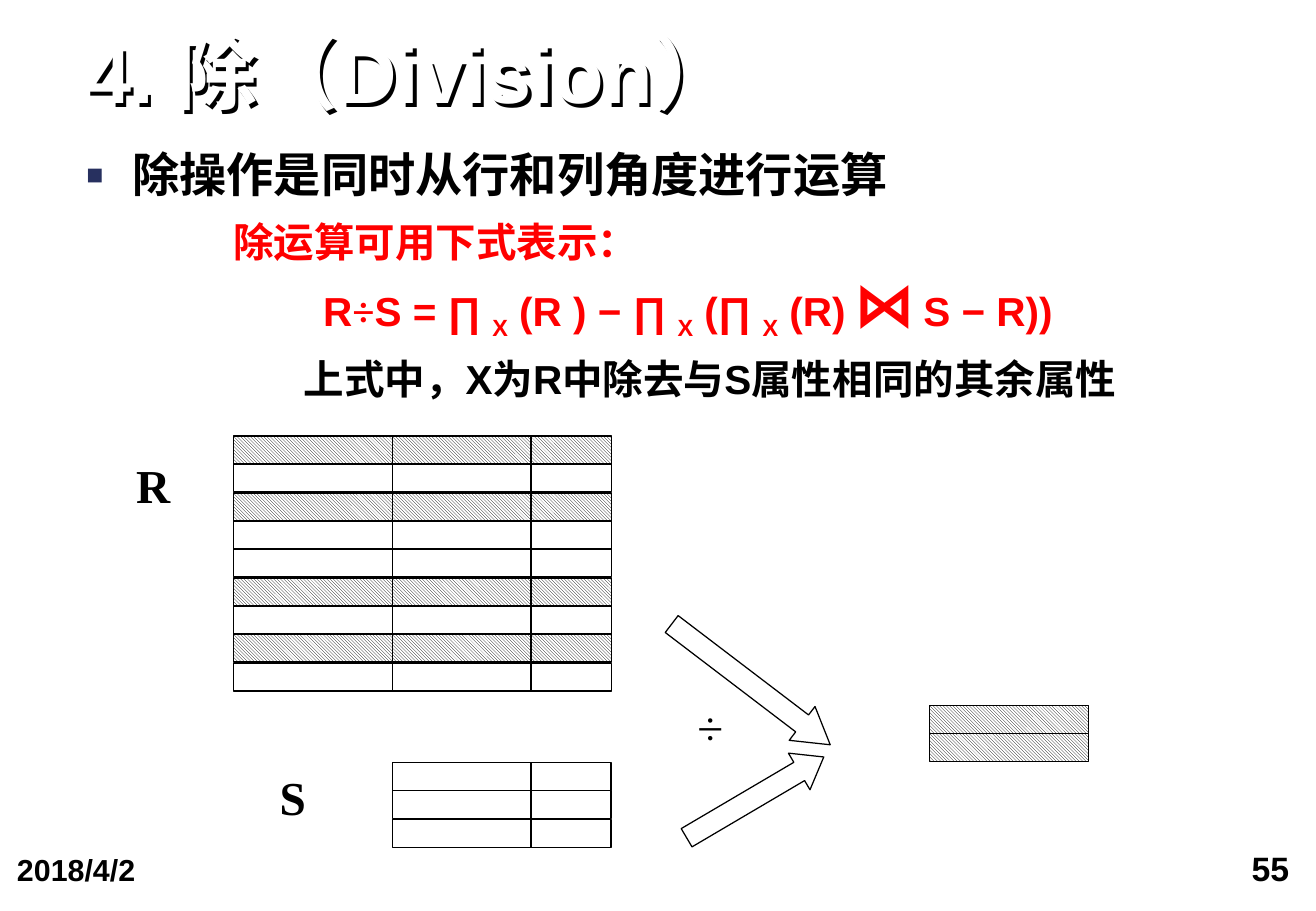
import pptx
import pptx.dml.color
import pptx.enum.dml
import pptx.enum.shapes
import pptx.enum.text
import pptx.oxml
import pptx.oxml.ns
import pptx.util

PX = 9144
COLORS = {"ink": "000000", "paper": "FFFFFF", "red": "FF0000", "navy": "27305F"}
TONE = {k: pptx.dml.color.RGBColor.from_string(v) for k, v in COLORS.items()}
NS = pptx.oxml.ns.nsdecls("a")
KIND = pptx.enum.shapes.MSO_SHAPE
ALIGN = pptx.enum.text.PP_ALIGN
ANCHOR = pptx.enum.text.MSO_ANCHOR
HATCH = pptx.enum.dml.MSO_PATTERN.LIGHT_DOWNWARD_DIAGONAL

deck = pptx.Presentation()
deck.slide_width, deck.slide_height = 1083 * PX, 750 * PX
slide = deck.slides.add_slide(deck.slide_layouts[1])
shapes = slide.shapes


def style(para, size, face="Arial", tone="ink", bold=True):
    for run in para.runs:
        run.font.size = pptx.util.Pt(size)
        run.font.name = face
        run.font.bold = bold
        run.font.color.rgb = TONE[tone]


def draw(kind, spot, hatch=False):
    shape = shapes.add_shape(kind, *[n * PX for n in spot])
    shape.shadow.inherit = False
    if hatch:
        shape.fill.patterned()
        shape.fill.pattern = HATCH
        shape.fill.fore_color.rgb = TONE["ink"]
        shape.fill.back_color.rgb = TONE["paper"]
    else:
        shape.fill.solid()
        shape.fill.fore_color.rgb = TONE["paper"]
    shape.line.color.rgb = TONE["ink"]
    shape.line.width = pptx.util.Pt(0.75)
    return shape


title, body = shapes.title, slide.placeholders[1]
for holder, top, high, words in (
    (title, 28, 72, "4. 除（Division）"),
    (body, 125, 100, "除操作是同时从行和列角度进行运算"),
):
    holder.left, holder.top = 71 * PX, top * PX
    holder.width, holder.height = 965 * PX, high * PX
    frame = holder.text_frame
    frame.text = words
    frame.word_wrap = True
    frame.auto_size = pptx.enum.text.MSO_AUTO_SIZE.NONE
    frame.margin_left = frame.margin_right = 0
    frame.margin_top = frame.margin_bottom = 0
    frame.paragraphs[0].line_spacing = 0.9
    frame.paragraphs[0].space_before = pptx.util.Pt(0)

title.text_frame.vertical_anchor = ANCHOR.BOTTOM
head = title.text_frame.paragraphs[0]
head.alignment = ALIGN.LEFT
style(head, 48, tone="paper")
title.fill.background()
title._element.spPr.append(pptx.oxml.parse_xml(
    f'<a:effectLst {NS}><a:outerShdw dist="35921" dir="2700000" algn="ctr" rotWithShape="0">'
    f'<a:srgbClr val="{COLORS["ink"]}"/></a:outerShdw></a:effectLst>'))

body.text_frame.vertical_anchor = ANCHOR.TOP
point = body.text_frame.paragraphs[0]
point.alignment = ALIGN.JUSTIFY
props = point._p.get_or_add_pPr()
props.set("marL", str(38 * PX))
props.set("indent", str(-38 * PX))
for mark in (
    f'<a:buClr {NS}><a:srgbClr val="{COLORS["navy"]}"/></a:buClr>',
    f'<a:buSzPct {NS} val="60000"/>',
    f'<a:buFont {NS} typeface="Arial"/>',
    f'<a:buChar {NS} char="■"/>',
):
    props.append(pptx.oxml.parse_xml(mark))
style(point, 28, "Times New Roman")

for row in range(9):
    draw(KIND.RECTANGLE, (192, round(359 + row * 70 / 3), 311, 23), row in (0, 2, 5, 7))
for row in range(3):
    draw(KIND.RECTANGLE, (323, round(628 + row * 70 / 3), 180, 23))
for row in range(2):
    draw(KIND.RECTANGLE, (765, 581 + row * 23, 131, 23), True)

for x, top, end in ((323, 359, 569), (437, 359, 569), (437, 628, 698)):
    rule = shapes.add_connector(
        pptx.enum.shapes.MSO_CONNECTOR.STRAIGHT, x * PX, top * PX, x * PX, end * PX)
    rule.line.color.rgb = TONE["ink"]
    rule.line.width = pptx.util.Pt(0.75)
    rule._element.spPr.append(pptx.oxml.parse_xml(f"<a:effectLst {NS}/>"))

for spot, turn, tip in (((536, 546, 164, 35), 37.3, 0.83), ((556, 639, 131, 35), 329.5, 0.67)):
    arrow = draw(KIND.RIGHT_ARROW, spot)
    arrow.rotation = turn
    arrow.adjustments[1] = tip

TIMES = "Times New Roman"
for words, spot, size, face, bold, align, inset in (
    ("R", (77, 371, 98, 57), 28, TIMES, True, ALIGN.CENTER, (10, 5)),
    ("S", (192, 628, 98, 57), 28, TIMES, True, ALIGN.CENTER, (10, 5)),
    ("÷", (486, 570, 197, 57), 28, TIMES, False, ALIGN.CENTER, (10, 5)),
    ("2018/4/2", (1, 695, 251, 63), 18, "Arial", True, ALIGN.LEFT, (13, 6)),
    ("55", (800, 692, 274, 58), 20, "Arial", True, ALIGN.RIGHT, (13, 6)),
):
    frame = shapes.add_textbox(*[n * PX for n in spot]).text_frame
    frame.word_wrap = True
    frame.margin_left = frame.margin_right = inset[0] * PX
    frame.margin_top = frame.margin_bottom = inset[1] * PX
    frame.text = words
    frame.paragraphs[0].alignment = align
    style(frame.paragraphs[0], size, face, bold=bold)

frame = shapes.add_textbox(132 * PX, 178 * PX, 872 * PX, 166 * PX).text_frame
frame.word_wrap = True
frame.text = "除运算可用下式表示：\n\n上式中，X为R中除去与S属性相同的其余属性"
lead, rule, note = frame.paragraphs
for part in ("R", "÷", "S = ∏ ", "X", " (R ) − ∏ ", "X", " (∏ ", "X", " (R)", " ", "⋈", " ", "S − R))"):
    rule.add_run().text = part
for para, indent, gap, space, tone in (
    (lead, 50, 0.9, 0, "red"),
    (rule, 124, 0.5, 18, "red"),
    (note, 108, 1, 12, "ink"),
):
    para._p.get_or_add_pPr().set("marL", str(indent * PX))
    para.line_spacing = gap
    para.space_before = pptx.util.Pt(space)
    style(para, 24, tone=tone)
for run in rule.runs:
    if run.text == "X":
        run._r.get_or_add_rPr().set("baseline", "-25000")
    elif run.text == "÷":
        run.font.name = TIMES
    elif run.text in (" ", "⋈"):
        run.font.size = pptx.util.Pt(36 if run.text == "⋈" else 18)

deck.save("out.pptx")
